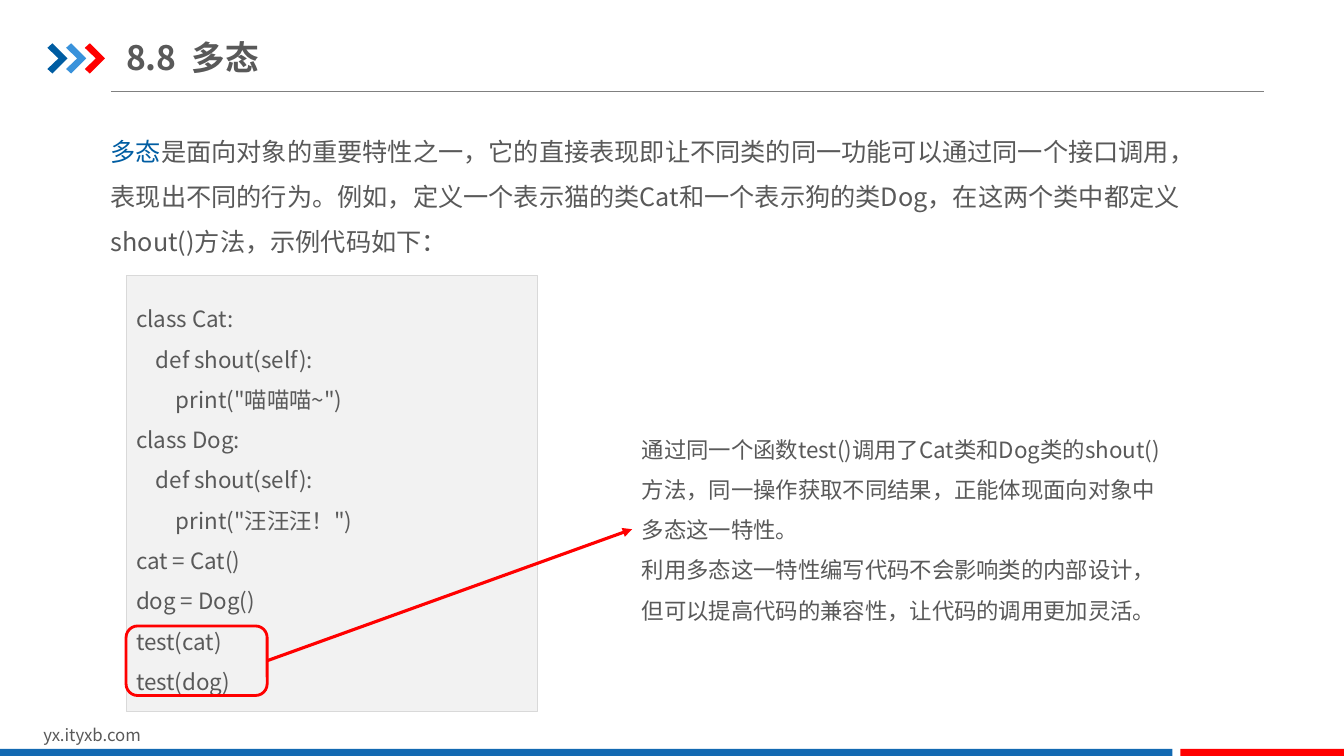
from dataclasses import dataclass

from lxml.etree import SubElement
from pptx import Presentation
from pptx.dml.color import RGBColor
from pptx.enum.shapes import MSO_CONNECTOR, MSO_SHAPE
from pptx.enum.text import MSO_ANCHOR, MSO_AUTO_SIZE, PP_ALIGN
from pptx.oxml.ns import qn
from pptx.util import Inches, Pt

WIDTH, HEIGHT = Inches(13.333), Inches(7.5)


@dataclass(frozen=True)
class Theme:
    font: str = "Noto Sans CJK SC"
    text: str = "595959"
    navy: str = "005DA2"
    sky: str = "3992DB"
    blue: str = "1369B2"
    red: str = "FF0000"
    rule: str = "808080"
    panel: str = "F2F2F2"
    border: str = "D9D9D9"
    title_size: int = 24
    intro_size: int = 18
    body_size: int = 16
    footer_size: int = 12


THEME = Theme()

INTRO = [[
    ("多态", THEME.navy),
    ("是面向对象的重要特性之一，它的直接表现即让不同类的同一功能可以通过同一个接口调用，"
     "表现出不同的行为。例如，定义一个表示猫的类Cat和一个表示狗的类Dog，"
     "在这两个类中都定义shout()方法，示例代码如下：", THEME.text),
]]

CODE = '''class Cat:
    def shout(self):
        print("喵喵喵~")
class Dog:
    def shout(self):
        print("汪汪汪！")
cat = Cat()
dog = Dog()
test(cat)
test(dog)'''

NOTES = [
    "通过同一个函数test()调用了Cat类和Dog类的shout()方法，"
    "同一操作获取不同结果，正能体现面向对象中多态这一特性。",
    "利用多态这一特性编写代码不会影响类的内部设计，"
    "但可以提高代码的兼容性，让代码的调用更加灵活。",
]


def across(percent):
    return round(WIDTH * percent / 100)


def down(percent):
    return round(HEIGHT * percent / 100)


def area(left, top, width, height):
    """Turn percentages of the slide into a position and a size."""
    return across(left), down(top), across(width), down(height)


def apply(target, values):
    for name, value in values.items():
        setattr(target, name, value)


def plain(lines):
    return [[(line, THEME.text)] for line in lines]


def write(frame, paragraphs, size, bold=False, spacing=1.0, **frame_format):
    """Fill a text frame with paragraphs, each a list of (text, colour) spans."""
    apply(frame, {"word_wrap": True, "auto_size": MSO_AUTO_SIZE.NONE, **frame_format})
    for index, spans in enumerate(paragraphs):
        para = frame.add_paragraph() if index else frame.paragraphs[0]
        apply(para, {"alignment": PP_ALIGN.LEFT, "line_spacing": spacing})
        for text, color in spans:
            span = para.add_run()
            span.text = text
            apply(span.font, {"name": THEME.font, "size": Pt(size), "bold": bold})
            span.font.color.rgb = RGBColor.from_string(color)
            SubElement(span.font._element, qn("a:ea"), typeface=THEME.font)


def add_text(page, place, paragraphs, size, **text_format):
    box = page.shapes.add_textbox(*area(*place))
    write(box.text_frame, paragraphs, size, **text_format)


def paint(shape, fill=None, line=None, weight=0):
    shape.shadow.inherit = False
    if fill:
        shape.fill.solid()
        shape.fill.fore_color.rgb = RGBColor.from_string(fill)
    else:
        shape.fill.background()
    if line:
        shape.line.color.rgb = RGBColor.from_string(line)
        shape.line.width = Pt(weight)
    else:
        shape.line.fill.background()


def add_block(page, place, kind=MSO_SHAPE.RECTANGLE, **look):
    block = page.shapes.add_shape(kind, *area(*place))
    paint(block, **look)
    return block


def add_line(page, start, end, color, weight, arrow=False):
    line = page.shapes.add_connector(
        MSO_CONNECTOR.STRAIGHT,
        across(start[0]), down(start[1]), across(end[0]), down(end[1]))
    line.line.color.rgb = RGBColor.from_string(color)
    line.line.width = Pt(weight)
    if arrow:
        SubElement(line.line._get_or_add_ln(), qn("a:tailEnd"), type="triangle")
    SubElement(line._element.spPr, qn("a:effectLst"))


def add_chevron(page, place, color):
    left, top, width, height = area(*place)
    outline = [(0, 0.15), (0.25, 0), (1, 0.5), (0.25, 1), (0, 0.85), (0.55, 0.5)]
    points = [(round(left + x * width), round(top + y * height)) for x, y in outline]
    builder = page.shapes.build_freeform(*points[0])
    builder.add_line_segments(points[1:], close=True)
    paint(builder.convert_to_shape(), fill=color)


def add_title(page, place, text):
    title = page.shapes.title
    apply(title, dict(zip(("left", "top", "width", "height"), area(*place))))
    write(title.text_frame, plain([text]), THEME.title_size, bold=True,
          vertical_anchor=MSO_ANCHOR.MIDDLE, margin_left=0, margin_right=0)


def add_frame(page):
    """Draw the heading rule, the chevrons and the footer."""
    add_line(page, (8.25, 12.13), (94.05, 12.13), THEME.rule, 0.75)
    for index, color in enumerate((THEME.navy, THEME.sky, THEME.red)):
        add_chevron(page, (3.53 + 1.39 * index, 5.73, 1.5, 4), color)
    add_text(page, (2.48, 95.2, 23.85, 4), plain(["yx.ityxb.com"]), THEME.footer_size)
    add_block(page, (0, 99.07, 87.23, 0.93), fill=THEME.blue)
    add_block(page, (87.83, 99.07, 12.17, 0.93), fill=THEME.red)


def main():
    deck = Presentation()
    apply(deck, {"slide_width": WIDTH, "slide_height": HEIGHT})
    page = deck.slides.add_slide(deck.slide_layouts.get_by_name("Title Only"))
    add_frame(page)
    add_title(page, (9.38, 3.87, 37.65, 7.33), "8.8  多态")
    add_text(page, (7.5, 15.33, 82.65, 19.47), INTRO, THEME.intro_size, spacing=1.5)
    panel = add_block(page, (9.38, 36.4, 30.6, 57.73),
                      fill=THEME.panel, line=THEME.border, weight=0.25)
    write(panel.text_frame, plain(CODE.splitlines()), THEME.body_size,
          spacing=1.5, vertical_anchor=MSO_ANCHOR.MIDDLE)
    add_text(page, (47.03, 55.2, 40.13, 29.33), plain(NOTES), THEME.body_size, spacing=1.5)
    add_block(page, (9.38, 82.8, 10.5, 9.2), MSO_SHAPE.ROUNDED_RECTANGLE,
              line=THEME.red, weight=2)
    add_line(page, (19.88, 87.4), (47.03, 70), THEME.red, 2.25, arrow=True)
    deck.save("out.pptx")


if __name__ == "__main__":
    main()
